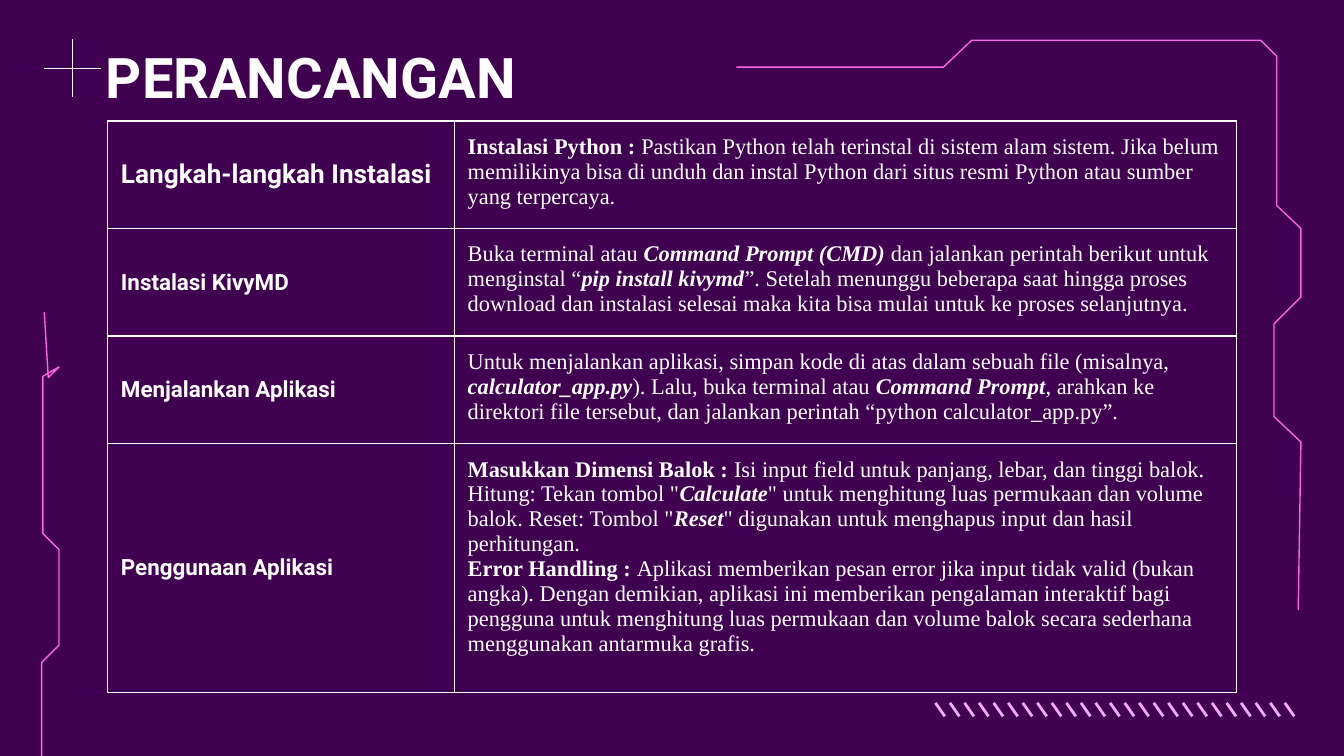
"""Build the PERANCANGAN slide: a table of installation steps in a neon frame."""
from lxml import etree
from pptx import Presentation
from pptx.dml.color import RGBColor
from pptx.enum import shapes, text
from pptx.oxml import ns
from pptx.util import Inches, Pt

PURPLE = RGBColor(0x40, 0x01, 0x50)
WHITE = RGBColor(0xFF, 0xFF, 0xFF)
PINK = RGBColor(0xF4, 0xAA, 0xF5)
NEON = RGBColor(0xFA, 0x65, 0xE7)

TITLE = "PERANCANGAN"
PLAIN, BOLD, BOLD_ITALIC = "", "b", "bi"
STEPS = [
    ("Langkah-langkah Instalasi", 14, [
        [("Instalasi Python : ", BOLD),
         ("Pastikan Python telah terinstal di sistem alam sistem. Jika belum memilikinya "
          "bisa di unduh dan instal Python dari situs resmi Python atau sumber yang "
          "terpercaya.", PLAIN)],
    ]),
    ("Instalasi KivyMD", 12, [
        [("Buka terminal atau ", PLAIN),
         ("Command Prompt (CMD) ", BOLD_ITALIC),
         ("dan jalankan perintah berikut untuk menginstal “", PLAIN),
         ("pip install kivymd", BOLD_ITALIC),
         ("”. Setelah menunggu beberapa saat hingga proses download dan instalasi selesai "
          "maka kita bisa mulai untuk ke proses selanjutnya.", PLAIN)],
    ]),
    ("Menjalankan Aplikasi", 12, [
        [("Untuk menjalankan aplikasi, simpan kode di atas dalam sebuah file (misalnya, ",
          PLAIN),
         ("calculator_app.py", BOLD_ITALIC),
         ("). Lalu, buka terminal atau ", PLAIN),
         ("Command Prompt", BOLD_ITALIC),
         (", arahkan ke direktori file tersebut, dan jalankan perintah “python "
          "calculator_app.py”.", PLAIN)],
    ]),
    ("Penggunaan Aplikasi", 12, [
        [("Masukkan Dimensi Balok : ", BOLD),
         ("Isi input field untuk panjang, lebar, dan tinggi balok.", PLAIN)],
        [('Hitung: Tekan tombol "', PLAIN),
         ("Calculate", BOLD_ITALIC),
         ('" untuk menghitung luas permukaan dan volume balok. Reset: Tombol "', PLAIN),
         ("Reset", BOLD_ITALIC),
         ('" digunakan untuk menghapus input dan hasil perhitungan.', PLAIN)],
        [("Error Handling : ", BOLD),
         ("Aplikasi memberikan pesan error jika input tidak valid (bukan angka). Dengan "
          "demikian, aplikasi ini memberikan pengalaman interaktif bagi pengguna untuk "
          "menghitung luas permukaan dan volume balok secara sederhana menggunakan "
          "antarmuka grafis.", PLAIN)],
    ]),
]
COLUMN_WIDTHS = (2.58, 5.82)
ROW_HEIGHTS = (0.79, 0.79, 0.79, 1.85)

CROSS = [(0.54, 0.72, 0.54, 0.29), (0.33, 0.51, 0.75, 0.51)]
HATCH_COUNT, HATCH_LEFT, HATCH_END = 25, 6.96, 9.56
CIRCUITS = [
    [(5.48, 0.5), (7.02, 0.5), (7.23, 0.3), (9.38, 0.3), (9.5, 0.42), (9.5, 1.53),
     (9.68, 1.7), (9.68, 2.21), (9.48, 2.41), (9.48, 3.1), (9.68, 3.29), (9.66, 4.54)],
    [(0.33, 2.32), (0.36, 2.81), (0.44, 2.73), (0.32, 2.8), (0.32, 3.36), (0.32, 3.97),
     (0.44, 4.09), (0.44, 4.8), (0.31, 4.93), (0.31, 5.67)],
]


def add_line(s, ends, color, width):
    line = s.shapes.add_connector(shapes.MSO_CONNECTOR.STRAIGHT, *map(Inches, ends))
    line.line.color.rgb = color
    line.line.width = Pt(width)
    etree.SubElement(line._element.spPr, ns.qn("a:effectLst"))


def add_circuit(s, points):
    corners = [(Inches(x), Inches(y)) for x, y in points]
    builder = s.shapes.build_freeform(*corners[0])
    builder.add_line_segments(corners[1:], close=False)
    sp = builder.convert_to_shape()
    sp.shadow.inherit = False
    sp.fill.background()
    sp.line.color.rgb = NEON
    sp.line.width = Pt(0.75)


def add_run(p, words, font, size, style):
    r = p.add_run()
    r.text = words
    formats = {"name": font, "size": Pt(size), "bold": "b" in style, "italic": "i" in style}
    for name, value in formats.items():
        setattr(r.font, name, value)
    r.font.color.rgb = WHITE


def set_margins(box):
    for side in ("left", "right", "top", "bottom"):
        setattr(box, f"margin_{side}", Inches(0.1))


def format_cell(cell):
    set_margins(cell)
    cell.fill.background()
    tc_pr = cell._tc.get_or_add_tcPr()
    for i, side in enumerate(("lnL", "lnR", "lnT", "lnB")):
        ln = etree.Element(ns.qn(f"a:{side}"), w=str(Pt(0.75)))
        fill = etree.SubElement(ln, ns.qn("a:solidFill"))
        etree.SubElement(fill, ns.qn("a:srgbClr"), val=str(WHITE))
        tc_pr.insert(i, ln)


def add_title(s):
    box = s.shapes.add_textbox(Inches(0.69), Inches(0.22), Inches(8.43), Inches(0.63))
    tf = box.text_frame
    tf.word_wrap = True
    set_margins(tf)
    add_run(tf.paragraphs[0], TITLE, "Roboto", 30, BOLD)


def add_steps(s):
    frame = s.shapes.add_table(len(STEPS), 2, Inches(0.8), Inches(0.9),
                               Inches(sum(COLUMN_WIDTHS)), Inches(sum(ROW_HEIGHTS)))
    table = frame.table
    table.first_row = table.horz_banding = False
    for column, width in zip(table.columns, COLUMN_WIDTHS):
        column.width = Inches(width)
    for i, (label, size, paragraphs) in enumerate(STEPS):
        table.rows[i].height = Inches(ROW_HEIGHTS[i])
        head, body = table.cell(i, 0), table.cell(i, 1)
        format_cell(head)
        format_cell(body)
        head.vertical_anchor = text.MSO_ANCHOR.MIDDLE
        add_run(head.text_frame.paragraphs[0], label, "Roboto", size, BOLD)
        tf = body.text_frame
        for j, runs in enumerate(paragraphs):
            p = tf.add_paragraph() if j else tf.paragraphs[0]
            for words, style in runs:
                add_run(p, words, "Times New Roman", 12, style)
    frame.height = Inches(4.25)


def main():
    prs = Presentation()
    prs.slide_width = Inches(10)
    prs.slide_height = prs.slide_width * 9 // 16
    s = prs.slides.add_slide(prs.slide_layouts[6])
    s.background.fill.solid()
    s.background.fill.fore_color.rgb = PURPLE
    for ends in CROSS:
        add_line(s, ends, WHITE, 0.75)
    pitch = (HATCH_END - HATCH_LEFT) / (HATCH_COUNT - 1)
    for i in range(HATCH_COUNT):
        x = HATCH_LEFT + i * pitch
        add_line(s, (x, 5.23, x + 0.07, 5.33), PINK, 1.5)
    for points in CIRCUITS:
        add_circuit(s, points)
    add_title(s)
    add_steps(s)
    prs.save("out.pptx")


if __name__ == "__main__":
    main()
